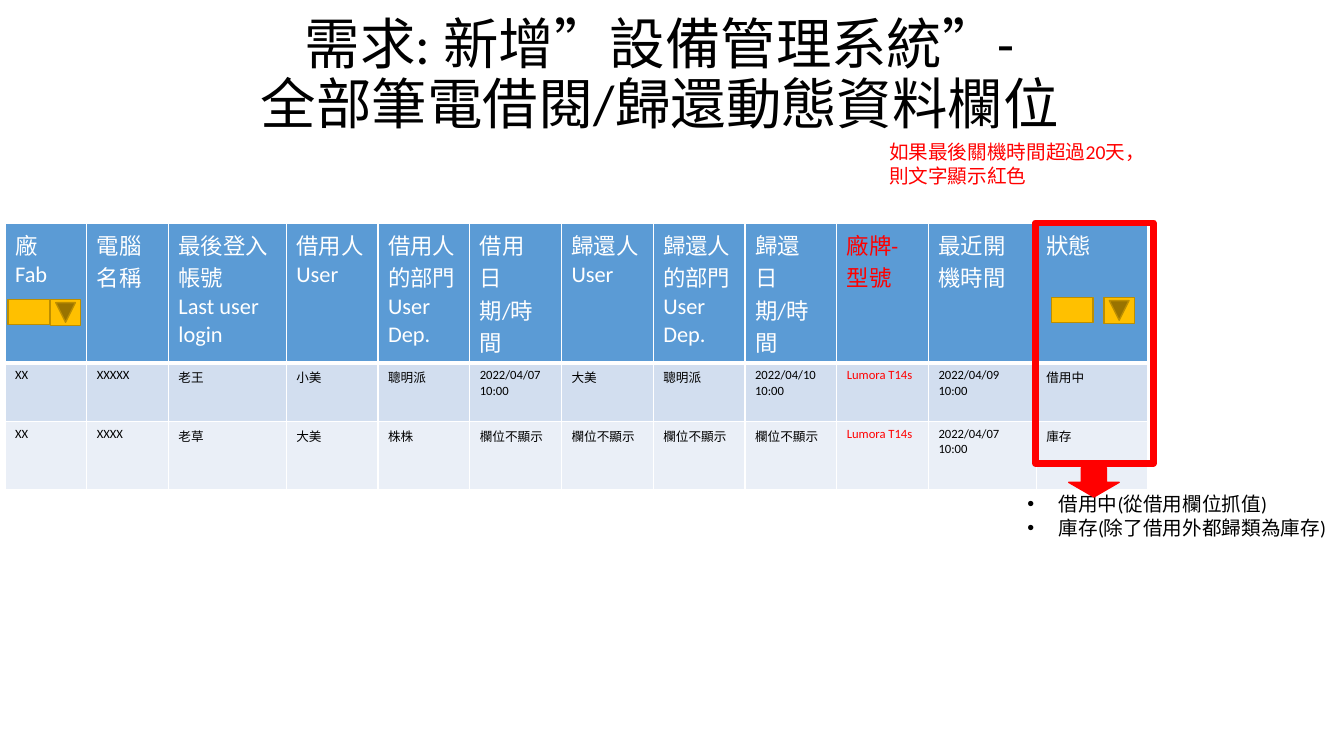
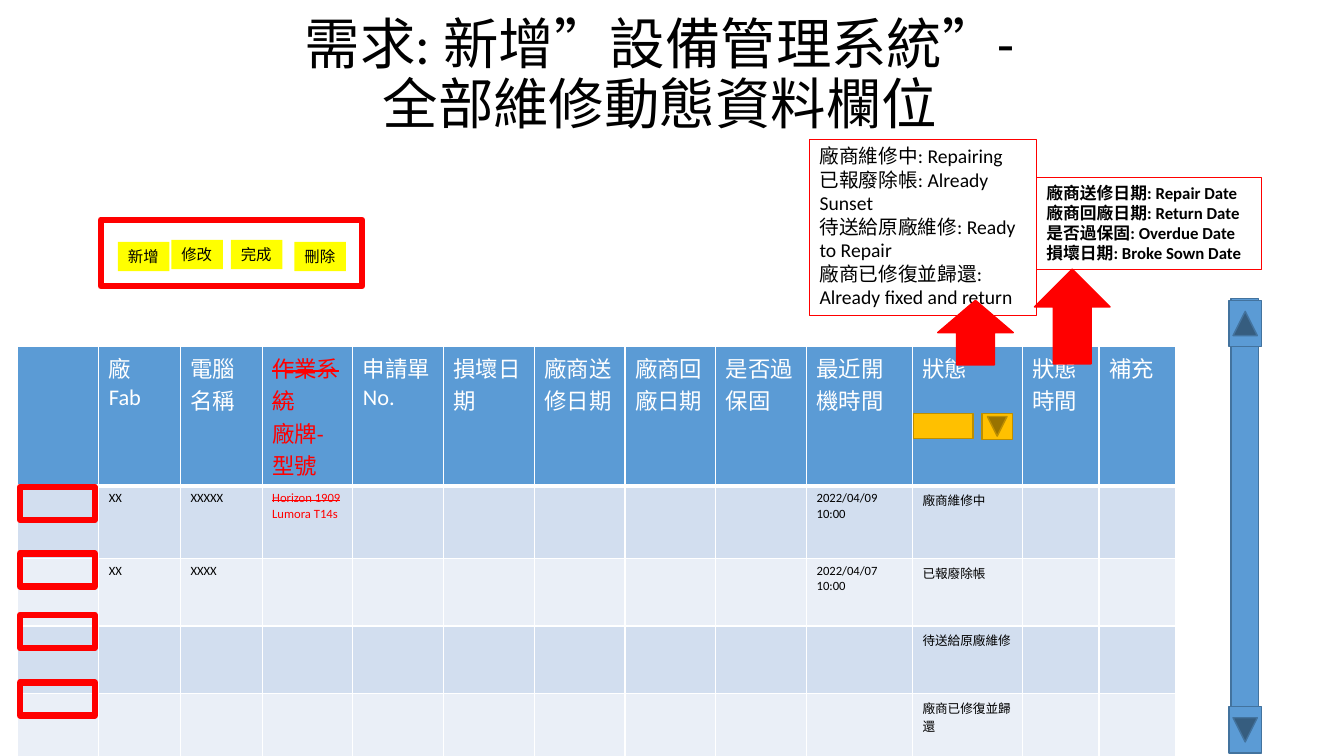
from lxml import etree
from pptx import Presentation
from pptx.dml.color import RGBColor
from pptx.enum.shapes import MSO_SHAPE
from pptx.enum.text import MSO_ANCHOR, MSO_AUTO_SIZE, PP_ALIGN
from pptx.oxml.ns import qn
from pptx.util import Pt

PX = 9144
FONT = "Calibri"
RECTANGLE = MSO_SHAPE.RECTANGLE
UP_ARROW, DOWN_ARROW = MSO_SHAPE.UP_ARROW, MSO_SHAPE.DOWN_ARROW
NEXT_BUTTON = MSO_SHAPE.ACTION_BUTTON_FORWARD_OR_NEXT
BACK_BUTTON = MSO_SHAPE.ACTION_BUTTON_BACK_OR_PREVIOUS
TOP, MIDDLE = MSO_ANCHOR.TOP, MSO_ANCHOR.MIDDLE
LEFT, CENTER = PP_ALIGN.LEFT, PP_ALIGN.CENTER
NO_FIT = MSO_AUTO_SIZE.NONE

WHITE, BLACK, RED, YELLOW = "FFFFFF", "000000", "FF0000", "FFFF00"
BLUE, BLUE_EDGE = "5B9BD5", "43739E"
GOLD, GOLD_EDGE = "FFC000", "BD8E00"
BANDS = ("D2DEEF", "EAEFF7")
TITLE_BOX = (-12, 31, 1333, 90)
TITLE_START = "需求: 新增”設備管理系統”-"

LOAN_COLUMNS = [81, 81, 117] + [91] * 7 + [107, 110]
LOAN_ROWS = [
    ["廠\nFab", "電腦名稱", "最後登入帳號\nLast user login", "借用人\nUser",
     "借用人的部門\nUser Dep.", "借用\n日期/時間", "歸還人\nUser",
     "歸還人的部門\nUser Dep.", "歸還\n日期/時間", "廠牌-型號", "最近開機時間", "狀態"],
    ["XX", "XXXXX", "老王", "小美", "聰明派", "2022/04/07\n10:00", "大美", "聰明派",
     "2022/04/10\n10:00", "Lumora T14s", "2022/04/09\n10:00", "借用中"],
    ["XX", "XXXX", "老草", "大美", "株株"] + ["欄位不顯示"] * 4
    + ["Lumora T14s", "2022/04/07\n10:00", "庫存"],
]
REPAIR_COLUMNS = [81] * 3 + [90] * 6 + [105, 109, 76, 76]
REPAIR_ROWS = [
    ["", "廠\nFab", "電腦名稱", "作業系統\n廠牌-型號", "申請單 No.", "損壞日期", "廠商送修日期",
     "廠商回廠日期", "是否過保固", "最近開機時間", "狀態", "狀態時間", "補充"],
    ["", "XX", "XXXXX", "Horizon 1909\nLumora T14s"] + [""] * 5
    + ["2022/04/09\n10:00", "廠商維修中", "", ""],
    ["", "XX", "XXXX"] + [""] * 6 + ["2022/04/07\n10:00", "已報廢除帳", "", ""],
    [""] * 10 + ["待送給原廠維修", "", ""],
    [""] * 10 + ["廠商已修復並歸還", "", ""],
]


def color(value):
    """Turn a hex string into a colour."""
    return RGBColor.from_string(value)


def emu(box):
    """Turn px lengths into EMU."""
    return [round(length * PX) for length in box]


def place(shape, box):
    """Move and size a shape to a px box."""
    shape.left, shape.top, shape.width, shape.height = emu(box)


def format_para(para, size, ink, bold=False, align=LEFT):
    """Format a paragraph and all its runs."""
    para.alignment = align
    for span in para.runs:
        span.font.name = FONT
        span.font.size = Pt(size)
        span.font.bold = bold
        span.font.color.rgb = color(ink)


def write(frame, text, size, ink, bold=False, wrap=True):
    """Fill a text frame from the top, one paragraph a line."""
    frame.text = text
    frame.word_wrap = wrap
    frame.vertical_anchor = TOP
    for para in frame.paragraphs:
        format_para(para, size, ink, bold)


def add_block(page, box, kind=RECTANGLE, fill=None, edge=None, weight=1):
    """Add a preset shape with an optional fill and line."""
    block = page.shapes.add_shape(kind, *emu(box))
    block.shadow.inherit = False
    if fill:
        block.fill.solid()
        block.fill.fore_color.rgb = color(fill)
    else:
        block.fill.background()
    if edge:
        block.line.color.rgb = color(edge)
        block.line.width = Pt(weight)
    else:
        block.line.fill.background()
    return block


def add_turned_button(page, box, kind, rotation, fill, edge):
    """Add a button turned a quarter so that it shows in the box."""
    left, top, width, height = box
    shift = (width - height) / 2
    frame = (left + shift, top - shift, height, width)
    add_block(page, frame, kind, fill, edge).rotation = rotation


def add_frame(page, box):
    """Add a thick red frame."""
    add_block(page, box, edge=RED, weight=4.5)


def add_arrow(page, box, kind):
    """Add a red block arrow."""
    add_block(page, box, kind, RED, RED)


def add_note(page, box, text, size, bold=False):
    """Add a thin red box with black text."""
    note = add_block(page, box, edge=RED, weight=0.75)
    write(note.text_frame, text, size, BLACK, bold)


def add_filter(page, box, field_width):
    """Add a filter field with a drop-down button at the right end of the box."""
    left, top, width, height = box
    add_block(page, (left, top, field_width, height), fill=GOLD, edge=GOLD_EDGE)
    add_turned_button(page, (left + width - 30, top, 30, 26), NEXT_BUTTON, 90, GOLD, GOLD_EDGE)


def add_scroll_bar(page, box):
    """Add a scroll track with a button at each end."""
    left, top, width, height = box
    add_block(page, (left + 2, top, width - 5, height), fill=BLUE, edge=BLUE_EDGE)
    for button_top, rotation in ((top + 2, 90), (top + height - 44, 270)):
        add_turned_button(page, (left, button_top, width, 46), BACK_BUTTON, rotation, BLUE, BLUE_EDGE)


def add_toolbar(page, box):
    """Add the framed row of edit buttons."""
    left, top = box[:2]
    labels = (("新增", 17, 22), ("修改", 70, 20), ("完成", 129, 20), ("刪除", 192, 22))
    for label, across, down in labels:
        button = add_block(page, (left + across, top + down, 51, 29), fill=YELLOW)
        write(button.text_frame, label, 11, BLACK, wrap=False)
    add_frame(page, box)


def add_borders(cell, bottom_weight):
    """Give a cell white borders."""
    properties = cell._tc.get_or_add_tcPr()
    for side, weight in (("L", 1), ("R", 1), ("T", 1), ("B", bottom_weight)):
        line = etree.SubElement(properties, qn("a:ln" + side), w=str(Pt(weight)))
        fill = etree.SubElement(line, qn("a:solidFill"))
        etree.SubElement(fill, qn("a:srgbClr"), val=WHITE)


def add_grid(page, origin, columns, heights, rows, red_column, struck=False):
    """Add a banded table with one red column, whose first lines may be struck."""
    box = (*origin, sum(columns), sum(heights))
    table = page.shapes.add_table(len(rows), len(columns), *emu(box)).table
    for column, width in zip(table.columns, columns):
        column.width = width * PX
    for index, (row, height, texts) in enumerate(zip(table.rows, heights, rows)):
        row.height = height * PX
        header = index == 0
        for number, (cell, text) in enumerate(zip(row.cells, texts)):
            add_borders(cell, 3 if header else 1)
            cell.fill.solid()
            cell.fill.fore_color.rgb = color(BLUE if header else BANDS[(index - 1) % 2])
            ink = RED if number == red_column else WHITE if header else BLACK
            cell.text_frame.text = text
            for para in cell.text_frame.paragraphs:
                format_para(para, 16 if header else 9, ink)
            if struck and text and number == red_column:
                span = cell.text_frame.paragraphs[0].runs[0]
                span._r.get_or_add_rPr().set("strike", "sngStrike")


def add_bullets(body, box, text):
    """Place the body placeholder as a small bullet list."""
    place(body, box)
    write(body.text_frame, text, 14, BLACK)
    body.text_frame.auto_size = NO_FIT
    for para in body.text_frame.paragraphs:
        para.space_before = Pt(0)
        properties = para._p.get_or_add_pPr()
        properties.set("marL", str(31 * PX))
        properties.set("indent", str(-31 * PX))
        etree.SubElement(properties, qn("a:buFont"), typeface="Arial")
        etree.SubElement(properties, qn("a:buChar"), char="•")


def add_page(deck, layout, subject):
    """Add a slide with the shared two-line title."""
    page = deck.slides.add_slide(deck.slide_layouts[layout])
    title = page.shapes.title
    place(title, TITLE_BOX)
    frame = title.text_frame
    frame.text = TITLE_START + "\v" + subject
    frame.vertical_anchor = MIDDLE
    frame.auto_size = NO_FIT
    frame.paragraphs[0].line_spacing = 0.9
    format_para(frame.paragraphs[0], 39.6, BLACK, align=CENTER)
    return page


def add_loan_page(deck):
    """Build the slide on lending and returning."""
    page = add_page(deck, 1, "全部筆電借閱/歸還動態資料欄位")
    add_bullets(page.placeholders[1], (1009, 483, 324, 57),
                "借用中(從借用欄位抓值)\n庫存(除了借用外都歸類為庫存)")
    add_grid(page, (5, 222), LOAN_COLUMNS, (138, 58, 68), LOAN_ROWS, 9)
    add_filter(page, (8, 297, 72, 25), 41)
    add_frame(page, (1027, 221, 117, 239))
    add_arrow(page, (1060, 464, 50, 29), DOWN_ARROW)
    add_filter(page, (1043, 295, 82, 25), 41)
    hint = page.shapes.add_textbox(*emu((872, 134, 290, 57)))
    write(hint.text_frame, "如果最後關機時間超過20天，\n則文字顯示紅色", 14, RED)


def add_repair_page(deck):
    """Build the slide on repairs."""
    page = add_page(deck, 5, "全部維修動態資料欄位")
    add_grid(page, (17, 344), REPAIR_COLUMNS, (137, 72, 67, 67, 67), REPAIR_ROWS, 3, True)
    add_filter(page, (906, 410, 98, 25), 59)
    add_note(page, (803, 138, 225, 175),
             "廠商維修中: Repairing\n已報廢除帳: Already Sunset\n"
             "待送給原廠維修: Ready to Repair\n廠商已修復並歸還: Already fixed and return", 14)
    add_scroll_bar(page, (1219, 296, 32, 449))
    add_toolbar(page, (100, 218, 259, 66))
    add_arrow(page, (930, 298, 75, 64), UP_ARROW)
    add_note(page, (1028, 176, 223, 91),
             "廠商送修日期: Repair Date\n廠商回廠日期: Return Date\n"
             "是否過保固: Overdue Date\n損壞日期: Broke Sown Date", 12, True)
    add_arrow(page, (1026, 267, 75, 94), UP_ARROW)
    for top in (483, 549, 610, 677):
        add_frame(page, (20, top, 74, 33))


def main():
    """Build and save the deck."""
    deck = Presentation()
    deck.slide_width, deck.slide_height = emu((1333, 750))
    add_loan_page(deck)
    add_repair_page(deck)
    deck.save("out.pptx")


if __name__ == "__main__":
    main()
